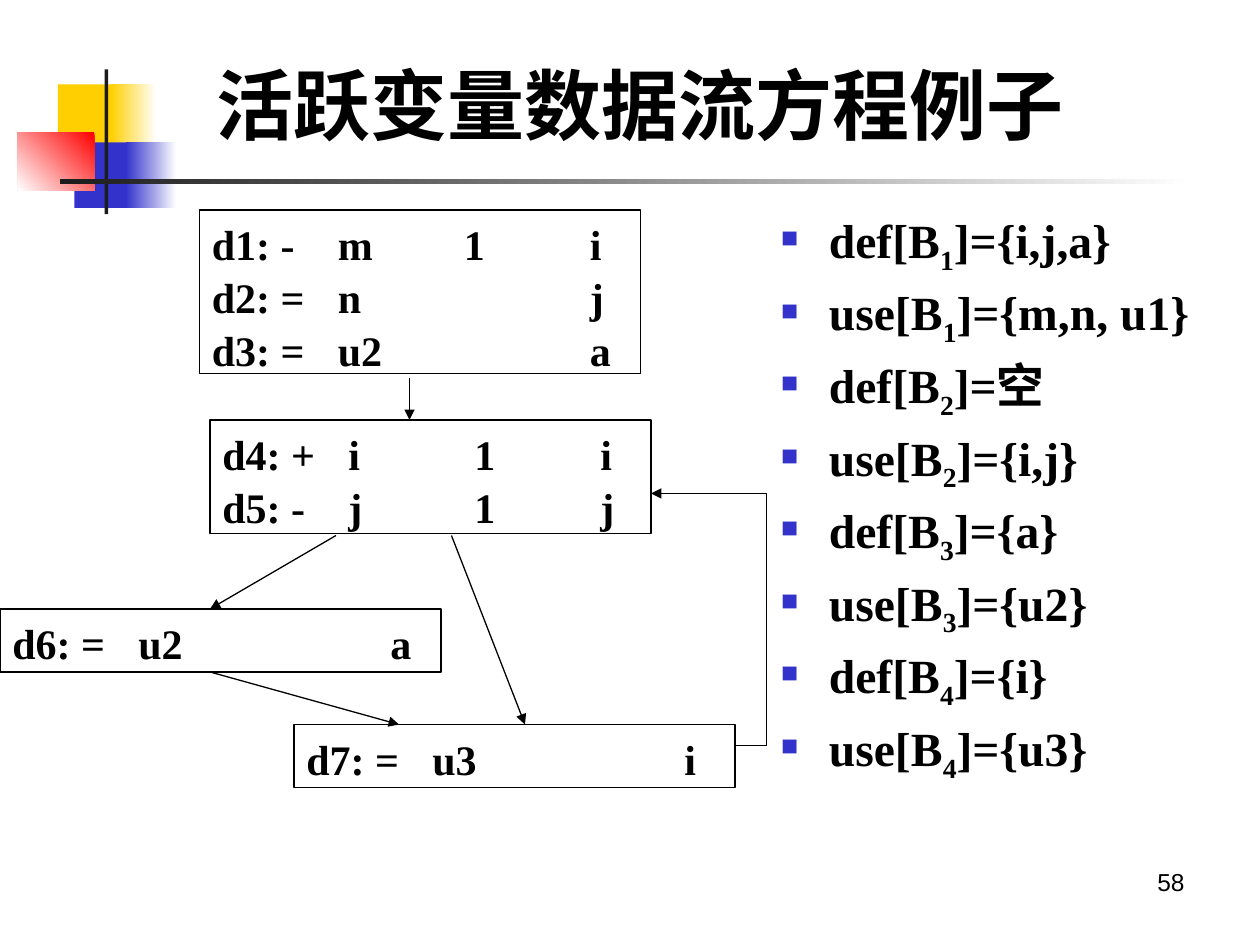
from dataclasses import dataclass

from lxml.etree import SubElement
from pptx import Presentation
from pptx.dml.color import RGBColor
from pptx.enum.shapes import MSO_CONNECTOR, MSO_SHAPE
from pptx.enum.text import MSO_ANCHOR, MSO_AUTO_SIZE, PP_ALIGN
from pptx.oxml.ns import qn
from pptx.util import Inches, Pt

UNITS = 12  # grid cells per inch


@dataclass(frozen=True)
class Theme:
    ink: str = "000000"
    paper: str = "FFFFFF"
    bar: str = "1C1C1C"
    yellow: str = "FFCF01"
    blue: str = "3333CC"
    red: str = "FF0000"
    serif: str = "Times New Roman"
    sans: str = "Arial"
    title: float = 44
    body: float = 27.2
    code: float = 24
    number: float = 14
    line: float = 0.75


def grid(*cells):
    return [Inches(c / UNITS) for c in cells]


def rgb(value):
    return RGBColor.from_string(value)


def assign(target, values):
    for name, value in values.items():
        setattr(target, name, value)


class Deck:
    def __init__(self, prs, theme):
        self.theme = theme
        self.s = prs.slides.add_slide(prs.slide_layouts[6])

    def run(self, p, text, size, font=None, bold=True, baseline=0):
        r = p.add_run()
        r.text = text
        assign(r.font, {"size": Pt(size), "name": font or self.theme.serif, "bold": bold})
        r.font.color.rgb = rgb(self.theme.ink)
        if baseline:
            r.font._element.set("baseline", str(baseline * 1000))

    def decoration(self, box, color, end=None, angle=180):
        """Borderless rectangle, solid or fading from color to end."""
        sp = self.s.shapes.add_shape(MSO_SHAPE.RECTANGLE, *map(Inches, box))
        sp.shadow.inherit = False
        sp.line.fill.background()
        if end is None:
            sp.fill.solid()
            sp.fill.fore_color.rgb = rgb(color)
            return
        sp.fill.gradient()
        sp.fill.gradient_angle = angle
        for stop, value in zip(sp.fill.gradient_stops, (color, end)):
            stop.color.rgb = rgb(value)

    def text_box(self, box, **frame):
        tf = self.s.shapes.add_textbox(*map(Inches, box)).text_frame
        assign(tf, {"word_wrap": True, **frame})
        return tf

    def label(self, box, text, size, font, bold, align, anchor):
        p = self.text_box(box, vertical_anchor=anchor).paragraphs[0]
        p.alignment = align
        self.run(p, text, size, font, bold)

    def equations(self, box, rows):
        """Bulleted list of (name, block number, value)."""
        tf = self.text_box(box, margin_top=Inches(0.13))
        for i, (name, block, value) in enumerate(rows):
            p = tf.paragraphs[0] if i == 0 else tf.add_paragraph()
            assign(p, {"line_spacing": 0.9, "space_before": Pt(8 if i else 0)})
            pPr = p._p.get_or_add_pPr()
            pPr.set("marL", str(Inches(0.38)))
            pPr.set("indent", str(-Inches(0.38)))
            color = SubElement(pPr, qn("a:buClr"))
            SubElement(color, qn("a:srgbClr"), val=self.theme.blue)
            SubElement(pPr, qn("a:buSzPct"), val="60000")
            SubElement(pPr, qn("a:buFont"), typeface=self.theme.sans)
            SubElement(pPr, qn("a:buChar"), char="■")
            for text, baseline in ((f"{name}[B", 0), (block, -25), (f"]={value}", 0)):
                self.run(p, text, self.theme.body, baseline=baseline)

    def outline(self, sp):
        sp.line.color.rgb = rgb(self.theme.ink)
        sp.line.width = Pt(self.theme.line)

    def block(self, cells, lines):
        """Basic block: tab-separated instructions in a frame."""
        sp = self.s.shapes.add_shape(MSO_SHAPE.RECTANGLE, *grid(*cells))
        sp.shadow.inherit = False
        sp.fill.background()
        self.outline(sp)
        tf = sp.text_frame
        assign(tf, {"word_wrap": True, "vertical_anchor": MSO_ANCHOR.TOP,
                    "auto_size": MSO_AUTO_SIZE.SHAPE_TO_FIT_TEXT})
        for i, line in enumerate(lines):
            p = tf.paragraphs[0] if i == 0 else tf.add_paragraph()
            assign(p, {"alignment": PP_ALIGN.LEFT, "line_spacing": 1.05})
            tabs = SubElement(p._p.get_or_add_pPr(), qn("a:tabLst"))
            for inch in (1, 2, 3):
                SubElement(tabs, qn("a:tab"), pos=str(Inches(inch)), algn="l")
            self.run(p, line, self.theme.code)

    def arrowhead(self, sp):
        self.outline(sp)
        SubElement(sp.line._get_or_add_ln(), qn("a:tailEnd"), type="triangle")

    def arrow(self, *cells):
        sp = self.s.shapes.add_connector(MSO_CONNECTOR.STRAIGHT, *grid(*cells))
        self.arrowhead(sp)
        SubElement(sp._element.spPr, qn("a:effectLst"))

    def bent_arrow(self, points):
        start, *rest = [grid(*point) for point in points]
        builder = self.s.shapes.build_freeform(*start)
        builder.add_line_segments(rest, close=False)
        sp = builder.convert_to_shape()
        sp.shadow.inherit = False
        sp.fill.background()
        self.arrowhead(sp)


def main():
    prs = Presentation()
    assign(prs, {"slide_width": Inches(10), "slide_height": Inches(7.5)})
    t = Theme()
    deck = Deck(prs, t)

    deck.decoration((0.46, 0.67, 0.48, 0.52), t.yellow)
    deck.decoration((0.88, 0.67, 0.36, 0.52), t.paper, t.yellow)
    deck.decoration((0.59, 1.13, 0.46, 0.52), t.blue)
    deck.decoration((1, 1.13, 0.4, 0.52), t.paper, t.blue)
    deck.decoration((0.14, 1.05, 0.61, 0.46), t.red, t.paper, angle=225)
    deck.decoration((0.83, 0.55, 0.03, 1.15), t.bar)
    deck.decoration((0.48, 1.42, 9, 0.04), t.paper, t.bar)

    deck.label((7.17, 6.83, 2.33, 0.52), "58", t.number, t.sans, False,
               PP_ALIGN.RIGHT, MSO_ANCHOR.TOP)
    deck.label((1.62, 0.28, 7.08, 1.09), "活跃变量数据流方程例子", t.title, t.serif, True,
               PP_ALIGN.LEFT, MSO_ANCHOR.MIDDLE)
    deck.equations((6.1, 1.55, 3.78, 5.2), [
        ("def", "1", "{i,j,a}"), ("use", "1", "{m,n, u1}"),
        ("def", "2", "空"), ("use", "2", "{i,j}"),
        ("def", "3", "{a}"), ("use", "3", "{u2}"),
        ("def", "4", "{i}"), ("use", "4", "{u3}"),
    ])

    deck.block((19, 20, 42, 15.6), ["d1: -\tm\t1\ti", "d2: =\tn\t\tj", "d3: =\tu2\t\ta"])
    deck.block((20, 40, 42, 10.8), ["d4: +\ti\t1\ti", "d5: -\tj\t1\tj"])
    deck.block((0, 58, 42, 6), ["d6: =\tu2\t\ta"])
    deck.block((28, 69, 42, 6), ["d7: =\tu3\t\ti"])

    for cells in ((39, 36, 39, 40), (32, 51, 20, 58), (43, 51, 50, 69), (20, 64, 38, 69)):
        deck.arrow(*cells)
    deck.bent_arrow([(70, 71), (73, 71), (73, 47), (62, 47)])

    prs.save("out.pptx")


if __name__ == "__main__":
    main()
